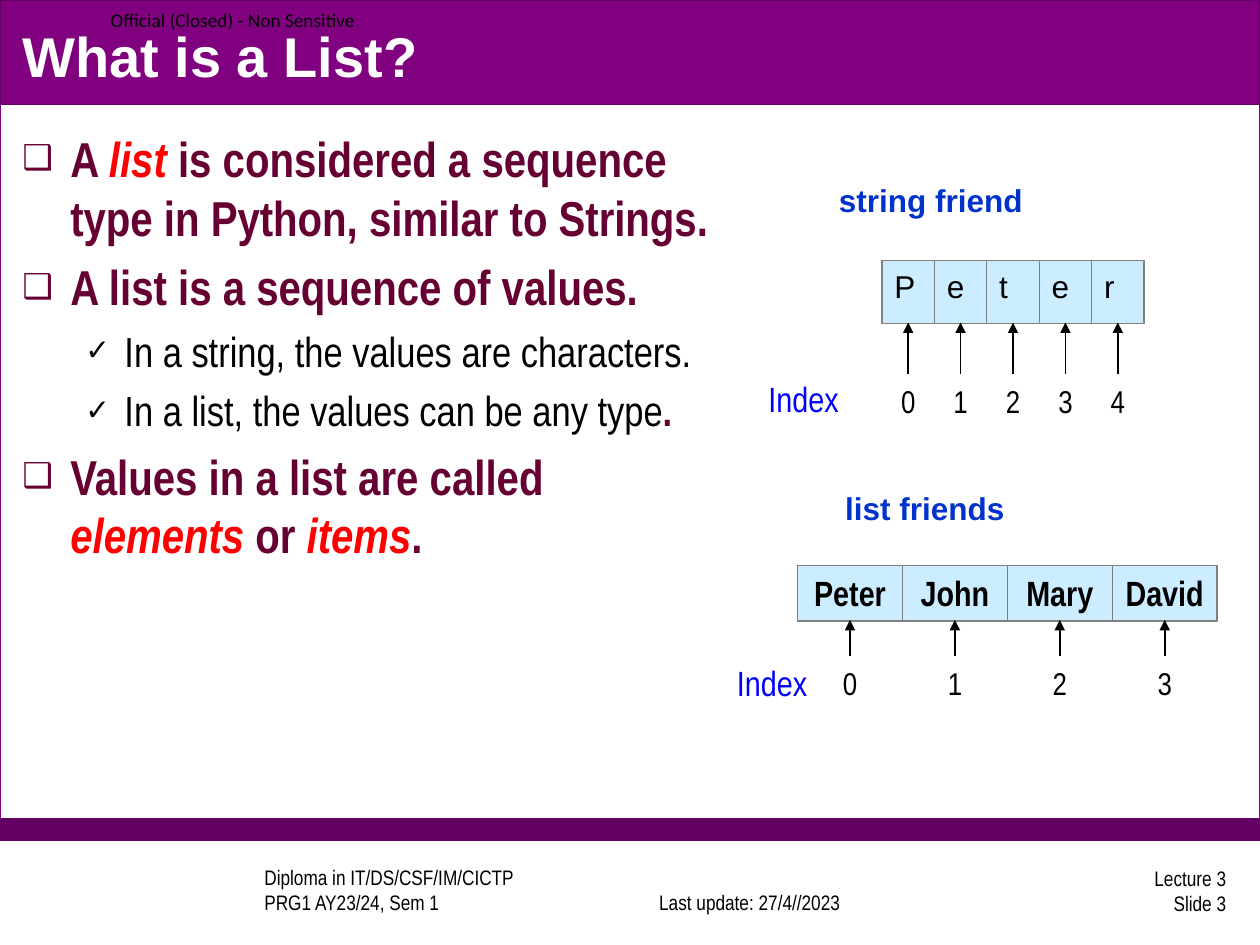
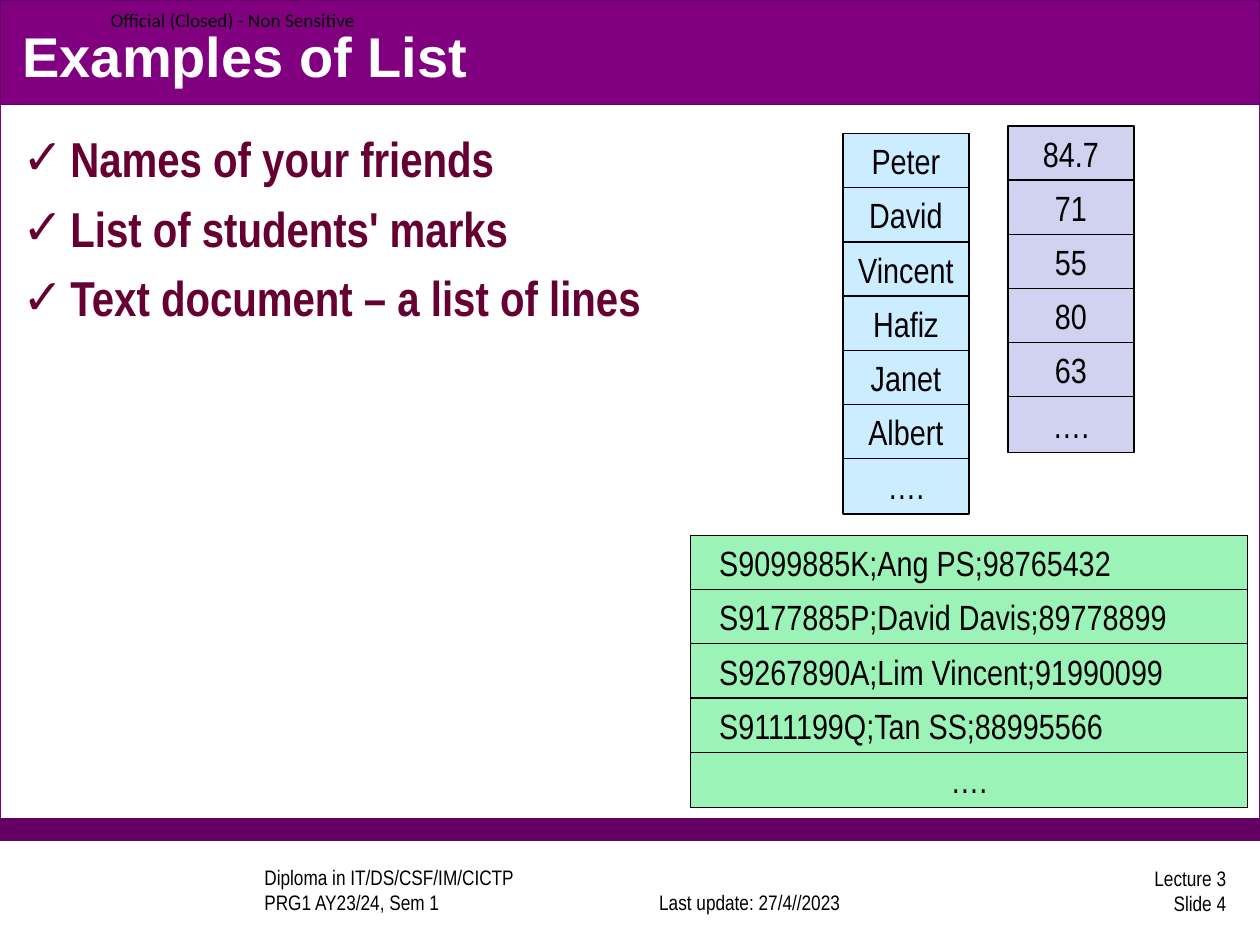
from dataclasses import dataclass, field, replace
from typing import Any

from lxml.etree import SubElement
from pptx import Presentation
from pptx.dml.color import RGBColor
from pptx.enum.shapes import MSO_CONNECTOR as Link, MSO_SHAPE as Form
from pptx.enum.text import MSO_ANCHOR as Anchor, PP_ALIGN as Align
from pptx.oxml.ns import qn
from pptx.slide import Slide
from pptx.util import Inches, Pt


@dataclass(frozen=True)
class Style:
    size: int
    color: str = "000000"
    font: str = "Arial Narrow"
    bold: bool = False
    italic: bool = False


@dataclass(frozen=True)
class Theme:
    white: str = "FFFFFF"
    purple: str = "800080"
    plum: str = "640064"
    black: str = "000000"
    gray: str = "808080"
    sky: str = "CCECFF"
    lilac: str = "D1D1F0"
    mint: str = "9BF3B8"
    title: Style = Style(32, "FFFFFF", "Arial", bold=True)
    point: Style = Style(28, "660033", bold=True)
    term: Style = Style(28, "FF0000", bold=True, italic=True)
    sub: Style = Style(24)
    dot: Style = Style(24, "660033", bold=True)
    item: Style = Style(20)
    name: Style = Style(20, bold=True)
    letter: Style = Style(18, font="Arial")
    digit: Style = Style(18)
    label: Style = Style(20, "0000FF")
    head: Style = Style(18, "0033CC", "Arial", bold=True)
    foot: Style = Style(12)
    mark: Style = Style(11, font="Calibri")


THEME = Theme()


@dataclass(frozen=True)
class Box:
    left: float
    top: float
    width: float
    height: float

    def emu(self) -> list[Inches]:
        return [Inches(v) for v in (self.left, self.top, self.width, self.height)]


@dataclass(frozen=True)
class Para:
    """Runs of (text, style), with indents in inches and an optional bullet."""
    runs: list[tuple[str, Style]]
    align: Align = Align.LEFT
    left: float = 0
    hang: float = 0
    bullet: str = ""
    scale: int = 100


@dataclass(frozen=True)
class Strip:
    """A caption, a row of cells and the index arrows under it."""
    title: str
    head: Box
    items: list[str]
    row: Box
    style: Style
    align: Align
    drop: float
    gap: float
    label: Box


@dataclass(frozen=True)
class Stack:
    """Cells set one below the other; the last one is centred."""
    items: list[str]
    cell: Box
    fill: str
    align: Align = Align.CENTER
    left: float = 0


@dataclass(frozen=True)
class Page:
    title: str
    number: int
    body: Box
    points: list[Para]
    strips: list[Strip] = field(default_factory=list)
    stacks: list[Stack] = field(default_factory=list)


def line(text: str, style: Style, align: Align = Align.LEFT, left: float = 0) -> Para:
    return Para([(text, style)], align, left)


def assign(target: Any, values: dict[str, Any]) -> None:
    for key, value in values.items():
        setattr(target, key, value)


def write(frame: Any, paras: list[Para], anchor: Anchor = Anchor.TOP) -> None:
    assign(frame, {"word_wrap": True, "vertical_anchor": anchor})
    for i, para in enumerate(paras):
        part = frame.add_paragraph() if i else frame.paragraphs[0]
        part.alignment = para.align
        props = part._p.get_or_add_pPr()
        props.set("marL", str(Inches(para.left)))
        props.set("indent", str(Inches(-para.hang)))
        if para.bullet:
            if i:
                part.space_before = Pt(round(para.runs[0][1].size * 0.22, 1))
            SubElement(props, qn("a:buSzPct"), val=str(para.scale * 1000))
            SubElement(props, qn("a:buFont"), typeface="Arial")
            SubElement(props, qn("a:buChar"), char=para.bullet)
        for text, style in para.runs:
            run = part.add_run()
            run.text = text
            assign(run.font, {"name": style.font, "size": Pt(style.size),
                              "bold": style.bold, "italic": style.italic})
            run.font.color.rgb = RGBColor.from_string(style.color)


def note(slide: Slide, box: Box, paras: list[Para], anchor: Anchor = Anchor.TOP) -> None:
    write(slide.shapes.add_textbox(*box.emu()).text_frame, paras, anchor)


def block(slide: Slide, box: Box, fill: str, edge: str, text: Para | None = None) -> None:
    shape = slide.shapes.add_shape(Form.RECTANGLE, *box.emu())
    shape.shadow.inherit = False
    shape.fill.solid()
    shape.fill.fore_color.rgb = RGBColor.from_string(fill)
    shape.line.color.rgb = RGBColor.from_string(edge)
    shape.line.width = Pt(0.75)
    if text:
        write(shape.text_frame, [text])


def arrow(slide: Slide, x: float, top: float, drop: float) -> None:
    """Draw an upright line whose arrowhead is at its top."""
    link = slide.shapes.add_connector(
        Link.STRAIGHT, *(Inches(v) for v in (x, top, x, top + drop)))
    link.line.color.rgb = RGBColor.from_string(THEME.black)
    link.line.width = Pt(1)
    SubElement(link.line._get_or_add_ln(), qn("a:headEnd"), type="triangle")
    SubElement(link._element.spPr, qn("a:effectLst"))


def frame_page(slide: Slide, page: Page) -> None:
    """Draw the bands, footers, marking and title that all slides share."""
    for box, fill, edge in (
        (Box(0, 0, 10, 6.67), THEME.white, THEME.purple),
        (Box(0, 6.5, 10, 0.17), THEME.plum, THEME.plum),
        (Box(0, 0, 10, 0.83), THEME.purple, THEME.plum),
    ):
        block(slide, box, fill, edge)
    for box, lines, align, left, anchor in (
        (Box(1.5, 6.89, 3.17, 0.42), ["Diploma in IT/DS/CSF/IM/CICTP", "PRG1 AY23/24, Sem 1"],
         Align.LEFT, 0.5, Anchor.BOTTOM),
        (Box(4.91, 6.89, 2.08, 0.42), ["Last update: 27/4//2023"],
         Align.CENTER, 0, Anchor.BOTTOM),
        (Box(7.75, 6.86, 2.08, 0.42), ["Lecture 3", f"Slide {page.number}"],
         Align.RIGHT, 0, Anchor.MIDDLE),
    ):
        note(slide, box, [line(t, THEME.foot, align, left) for t in lines], anchor)
    note(slide, Box(0.78, 0, 2.4, 0.31),
         [line("Official (Closed) - Non Sensitive", THEME.mark)], Anchor.MIDDLE)
    note(slide, Box(0.08, 0.13, 9.83, 0.62), [line(page.title, THEME.title)], Anchor.MIDDLE)


def draw_strip(slide: Slide, strip: Strip) -> None:
    row = strip.row
    step = row.width / len(strip.items)
    base = row.top + row.height
    for i, text in enumerate(strip.items):
        cell = replace(row, left=row.left + i * step, width=step)
        block(slide, cell, THEME.sky, THEME.gray, line(text, strip.style, strip.align))
        note(slide, replace(cell, top=base + strip.gap, height=0.4),
             [line(str(i), THEME.digit, Align.CENTER)])
        arrow(slide, cell.left + step / 2, base - 0.01, strip.drop)
    note(slide, strip.label, [line("Index", THEME.label)])
    note(slide, strip.head, [line(strip.title, THEME.head)])


def draw_stack(slide: Slide, stack: Stack) -> None:
    pitch = 0.43
    last = len(stack.items)
    for i, text in enumerate([*stack.items, "…."]):
        para = (line(text, THEME.item, stack.align, stack.left) if i < last
                else line(text, THEME.item, Align.CENTER))
        cell = replace(stack.cell, top=stack.cell.top + i * pitch)
        block(slide, cell, stack.fill, THEME.black, para)


def point(*runs: tuple[str, Style], bullet: str = "❑", scale: int = 70) -> Para:
    return Para(list(runs), left=0.38, hang=0.38, bullet=bullet, scale=scale)


def sub(*runs: tuple[str, Style]) -> Para:
    return Para(list(runs), left=0.81, hang=0.31, bullet="✓", scale=70)


PAGES = [
    Page(
        "What is a List?", 3, Box(0.08, 0.97, 5.7, 5.45),
        [
            point(("A ", THEME.point), ("list ", THEME.term),
                  ("is considered a sequence type in Python, similar to Strings.", THEME.point)),
            point(("A list is a sequence of values.", THEME.point)),
            sub(("In a string, the values are characters.", THEME.sub)),
            sub(("In a list, the values can be any type", THEME.sub), (".", THEME.dot)),
            point(("Values in a list are called ", THEME.point), ("elements", THEME.term),
                  (" or ", THEME.point), ("items", THEME.term), (".", THEME.point)),
        ],
        strips=[
            Strip("list friends", Box(6.61, 3.83, 2.05, 0.5),
                  ["Peter", "John", "Mary", "David"], Box(6.33, 4.49, 3.33, 0.44),
                  THEME.name, Align.CENTER, 0.29, 0.29, Box(5.75, 5.2, 0.83, 0.44)),
            Strip("string friend", Box(6.56, 1.39, 2.05, 0.5),
                  list("Peter"), Box(7, 2.07, 2.08, 0.5),
                  THEME.letter, Align.LEFT, 0.41, 0.41, Box(6, 2.95, 1.08, 0.44)),
        ],
    ),
    Page(
        "Examples of List", 4, Box(0.08, 0.97, 6.08, 5.45),
        [point((text, THEME.point), bullet="✓", scale=100) for text in (
            "Names of your friends",
            "List of students' marks",
            "Text document – a list of lines",
        )],
        stacks=[
            Stack(["Peter", "David", "Vincent", "Hafiz", "Janet", "Albert"],
                  Box(6.69, 1.06, 1, 0.44), THEME.sky),
            Stack(["84.7", "71", "55", "80", "63"], Box(8, 1, 1, 0.44), THEME.lilac),
            Stack(["S9099885K;Ang PS;98765432", "S9177885P;David Davis;89778899",
                   "S9267890A;Lim Vincent;91990099", "S9111199Q;Tan SS;88995566"],
                  Box(5.48, 4.25, 4.42, 0.44), THEME.mint, Align.LEFT, 0.13),
        ],
    ),
]


def main() -> None:
    deck = Presentation()
    assign(deck, {"slide_width": Inches(10), "slide_height": Inches(7.5)})
    for page in PAGES:
        slide = deck.slides.add_slide(deck.slide_layouts[6])
        frame_page(slide, page)
        note(slide, page.body, page.points)
        for strip in page.strips:
            draw_strip(slide, strip)
        for stack in page.stacks:
            draw_stack(slide, stack)
    deck.save("out.pptx")


if __name__ == "__main__":
    main()
